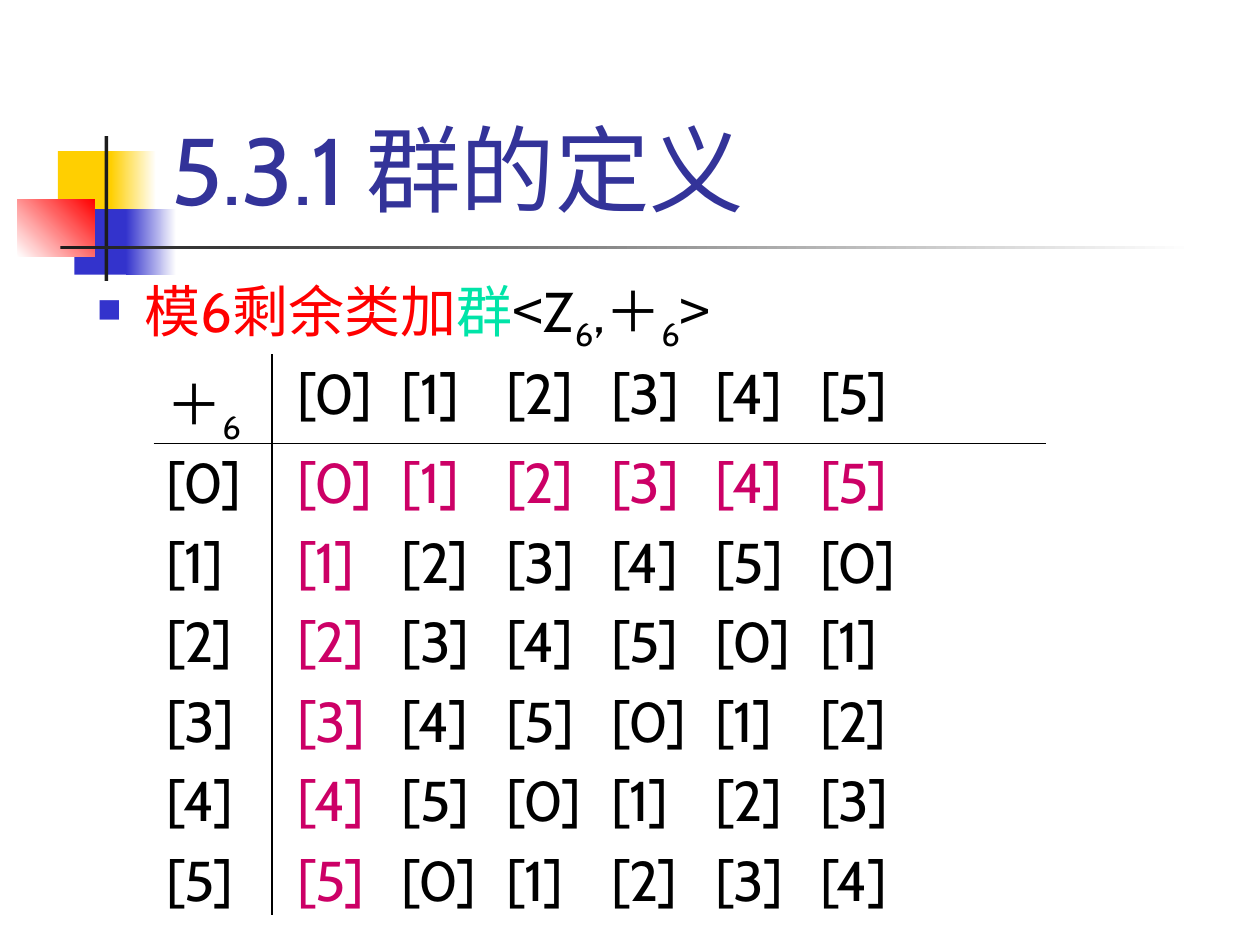
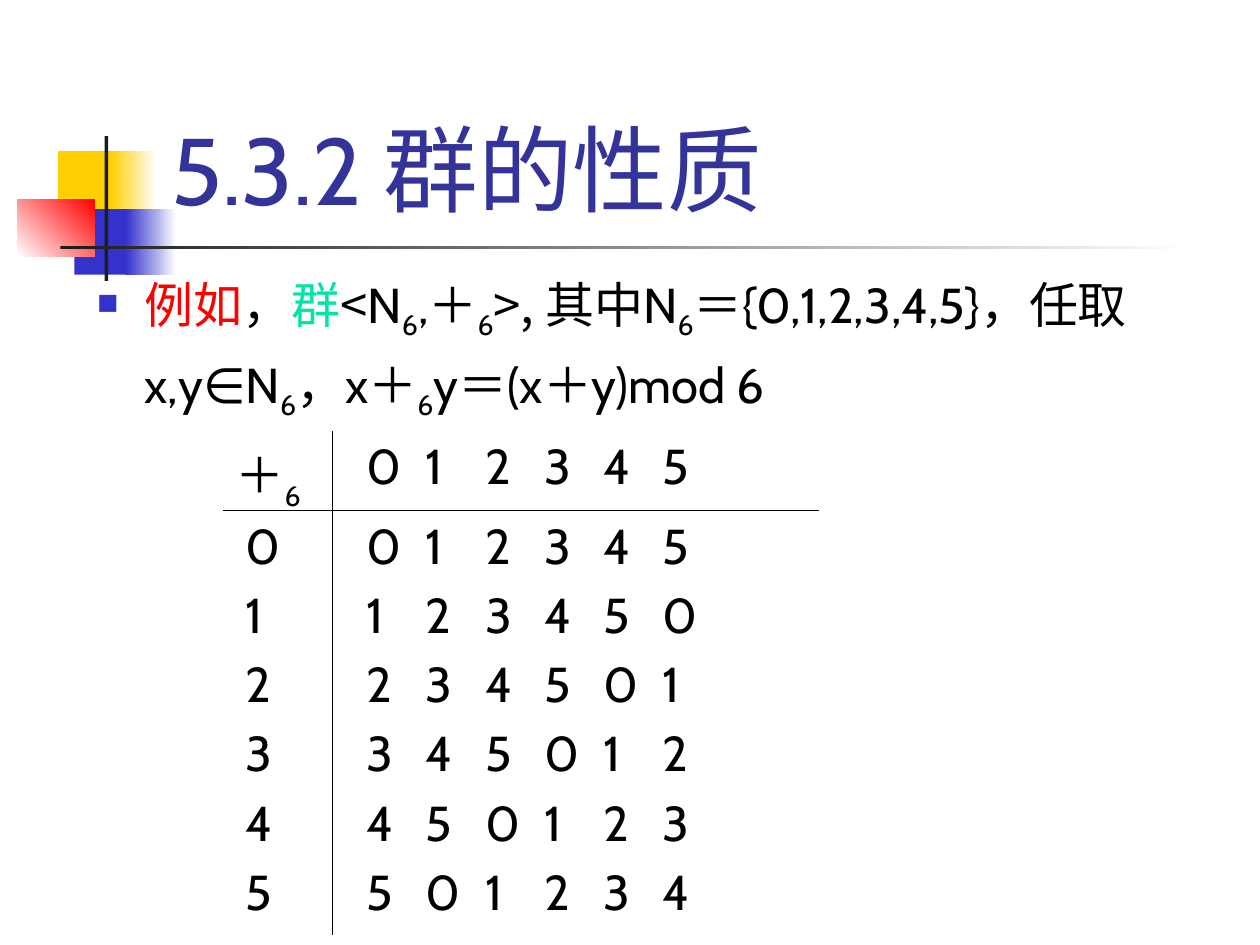
from dataclasses import dataclass

from lxml import etree
from pptx import Presentation
from pptx.dml.color import RGBColor
from pptx.enum.shapes import MSO_SHAPE
from pptx.enum.text import MSO_ANCHOR, PP_ALIGN
from pptx.oxml.ns import qn
from pptx.util import Inches, Pt

RECTANGLE = MSO_SHAPE.RECTANGLE
BOTTOM = MSO_ANCHOR.BOTTOM
LEFT = PP_ALIGN.LEFT

BLACK = RGBColor(0x00, 0x00, 0x00)
WHITE = RGBColor(0xFF, 0xFF, 0xFF)
CHARCOAL = RGBColor(0x1C, 0x1C, 0x1C)
YELLOW = RGBColor(0xFF, 0xCF, 0x01)
BLUE = RGBColor(0x33, 0x33, 0xCC)
NAVY = RGBColor(0x33, 0x33, 0x99)
RED = RGBColor(0xFF, 0x00, 0x00)
GREEN = RGBColor(0x00, 0xE4, 0xA8)
PINK = RGBColor(0xCC, 0x00, 0x66)

LATIN = "Cabin"
CJK = "Noto Sans CJK SC"
ORDER = 6
TITLE_ONLY = 5


@dataclass
class Span:
    text: str
    color: RGBColor = BLACK
    font: str = LATIN
    lowered: bool = False


SIX = Span("6", lowered=True)
PLUS_SIX = [Span("＋"), SIX]


def add_element(parent, tag, **attributes):
    element = etree.SubElement(parent, qn(tag))
    for name, value in attributes.items():
        element.set(name, str(value))
    return element


def write_spans(para, spans, size):
    para.font.size = Pt(size)
    for span in spans:
        run = para.add_run()
        run.text = span.text
        run.font.size = Pt(size)
        run.font.name = span.font
        run.font.color.rgb = span.color
        properties = run._r.get_or_add_rPr()
        add_element(properties, "a:ea", typeface=CJK)
        if span.lowered:
            properties.set("baseline", "-25000")


def add_block(page, left, top, width, height, color, end_color=None, angle=0):
    """Add a plain rectangle, or one that fades from color to end_color."""
    block = page.shapes.add_shape(
        RECTANGLE, Inches(left), Inches(top), Inches(width), Inches(height))
    block.shadow.inherit = False
    block.line.fill.background()
    if end_color is None:
        block.fill.solid()
        block.fill.fore_color.rgb = color
    else:
        block.fill.gradient()
        block.fill.gradient_angle = angle
        for stop, stop_color in zip(block.fill.gradient_stops, (color, end_color)):
            stop.color.rgb = stop_color
    return block


def move_emblem_to_layout(page):
    """Draw the coloured blocks and rules, and share them through the layout."""
    blocks = [
        add_block(page, 0.46, 1.2, 0.48, 0.52, YELLOW),
        add_block(page, 0.88, 1.2, 0.36, 0.52, YELLOW, WHITE),
        add_block(page, 0.59, 1.66, 0.46, 0.52, BLUE),
        add_block(page, 1, 1.66, 0.4, 0.52, BLUE, WHITE),
        add_block(page, 0.14, 1.58, 0.61, 0.46, WHITE, RED, angle=45),
        add_block(page, 0.83, 1.08, 0.03, 1.15, CHARCOAL),
        add_block(page, 0.48, 1.95, 9, 0.03, CHARCOAL, WHITE),
    ]
    for block in blocks:
        page.slide_layout.shapes._spTree.append(block._element)


def set_title(page, text):
    title = page.shapes.title
    title.left, title.top = Inches(1.26), Inches(0.23)
    title.width, title.height = Inches(8.52), Inches(1.6)
    title.text_frame.vertical_anchor = BOTTOM
    para = title.text_frame.paragraphs[0]
    para.alignment = LEFT
    write_spans(para, [Span(text, NAVY)], 54)


def add_bullet_text(page, spans, size):
    box = page.shapes.add_textbox(
        Inches(0.67), Inches(2.02), Inches(9.33), Inches(5.48))
    box.text_frame.word_wrap = True
    para = box.text_frame.paragraphs[0]
    properties = para._p.get_or_add_pPr()
    properties.set("marL", str(Inches(0.38)))
    properties.set("indent", str(-Inches(0.38)))
    bullet_color = add_element(properties, "a:buClr")
    add_element(bullet_color, "a:srgbClr", val=BLUE)
    add_element(properties, "a:buSzPct", val=60000)
    add_element(properties, "a:buChar", char="■")
    para.line_spacing = 1.2
    write_spans(para, spans, size)


def set_borders(cell, inner_edges):
    """Rule the inner edges of a cell and leave its other edges clear."""
    properties = cell._tc.get_or_add_tcPr()
    for position, edge in enumerate("LRTB"):
        line = add_element(properties, "a:ln" + edge, w=Pt(1))
        if edge in inner_edges:
            fill = add_element(line, "a:solidFill")
            add_element(fill, "a:srgbClr", val=BLACK)
        else:
            add_element(line, "a:noFill")
        properties.insert(position, line)


def write_lines(cell, lines, size, margin, tab_step=None):
    """Write one paragraph per list of spans, with equal tab stops if asked."""
    cell.margin_left = Inches(margin)
    frame = cell.text_frame
    for index, spans in enumerate(lines):
        para = frame.add_paragraph() if index else frame.paragraphs[0]
        if tab_step:
            tabs = add_element(para._p.get_or_add_pPr(), "a:tabLst")
            for column in range(1, ORDER):
                add_element(tabs, "a:tab", pos=Inches(tab_step * column), algn="l")
        if index:
            para.space_before = Pt(size * 0.2)
        write_spans(para, spans, size)


def add_addition_table(page, place, columns, rows, size, pattern, tab_step,
                       label_margin, body_margin, identity_color=BLACK):
    """Add the table of addition modulo ORDER, its labels made by pattern."""
    frame = page.shapes.add_table(
        2, 2, Inches(place[0]), Inches(place[1]),
        Inches(sum(columns)), Inches(sum(rows)))
    table = frame.table
    table.first_row = table.horz_banding = False
    for column, width in zip(table.columns, columns):
        column.width = Inches(width)
    for row, height in zip(table.rows, rows):
        row.height = Inches(height)
    for cell, edges in zip(table.iter_cells(), ("RB", "LB", "RT", "LT")):
        cell.fill.background()
        set_borders(cell, edges)

    labels = [pattern.format(number) for number in range(ORDER)]
    sums = []
    for shift in range(ORDER):
        first, *others = labels[shift:] + labels[:shift]
        rest_color = BLACK if shift else identity_color
        sums.append([Span(first, identity_color),
                     Span("\t" + "\t".join(others), rest_color)])

    write_lines(table.cell(0, 0), [PLUS_SIX], size, 0.1)
    write_lines(table.cell(0, 1), [[Span("\t".join(labels))]],
                size, body_margin, tab_step)
    write_lines(table.cell(1, 0), [[Span(label)] for label in labels],
                size, label_margin)
    write_lines(table.cell(1, 1), sums, size, body_margin, tab_step)


def main():
    deck = Presentation()
    deck.slide_width, deck.slide_height = Inches(10), Inches(7.5)
    layout = deck.slide_layouts[TITLE_ONLY]

    definition = deck.slides.add_slide(layout)
    move_emblem_to_layout(definition)
    set_title(definition, "5.3.1 群的定义")
    add_bullet_text(definition, [
        Span("模6剩余类加", RED), Span("群", GREEN), Span("<", font=CJK),
        Span("Z"), SIX, Span(",＋"), SIX, Span(">", font=CJK),
    ], 32)
    add_addition_table(definition, (1.22, 2.81), (0.94, 6.14), (0.71, 3.6),
                       size=32, pattern="[{}]", tab_step=0.83,
                       label_margin=0.1, body_margin=0.2, identity_color=PINK)

    properties = deck.slides.add_slide(layout)
    set_title(properties, "5.3.2 群的性质")
    add_bullet_text(properties, [
        Span("例如", RED), Span("，"), Span("群", GREEN), Span("<", font=CJK),
        Span("N"), SIX, Span(",＋"), SIX, Span(">, ", font=CJK),
        Span("其中N"), SIX, Span("＝{0,1,2,3,4,5}，任取x,y∈N"), SIX,
        Span("，x＋"), SIX, Span("y＝(x＋y)mod 6"),
    ], 28)
    add_addition_table(properties, (1.77, 3.42), (0.87, 3.86), (0.57, 3.37),
                       size=28, pattern="{}", tab_step=0.47,
                       label_margin=0.18, body_margin=0.27)

    deck.save("out.pptx")


if __name__ == "__main__":
    main()
